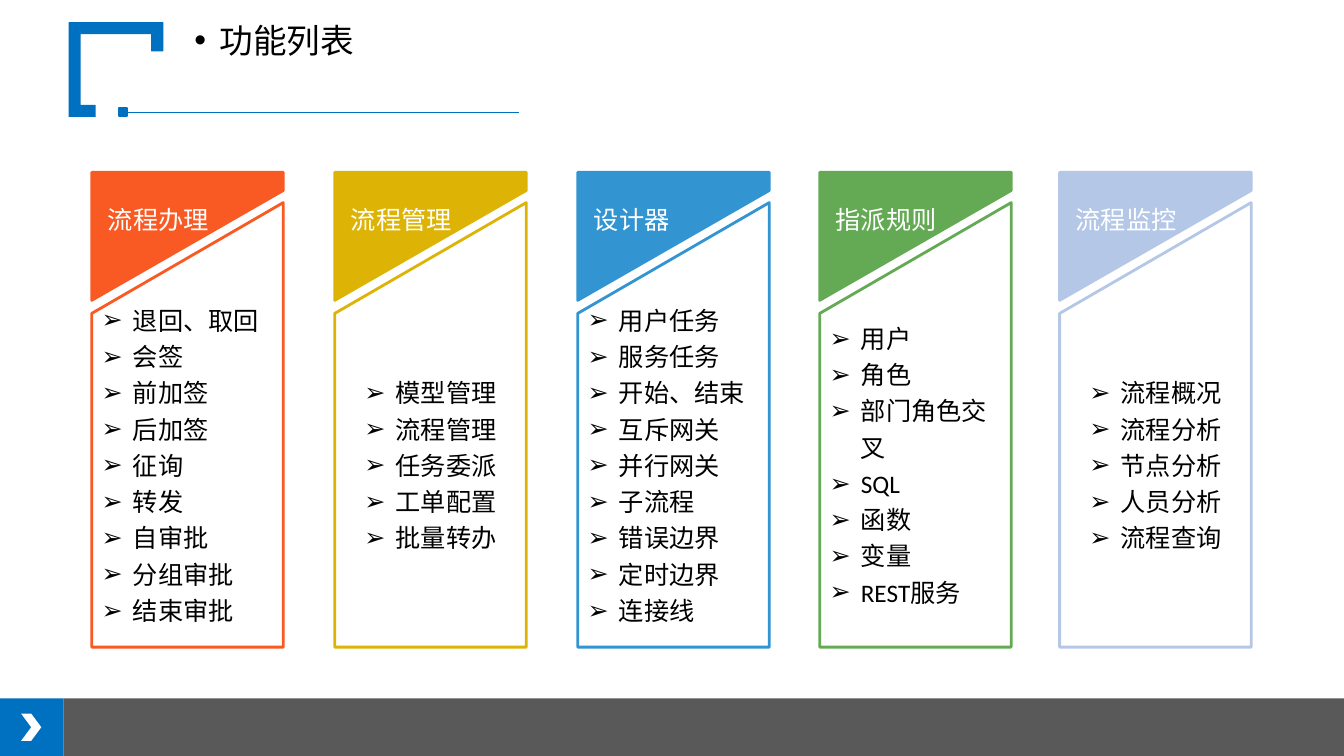
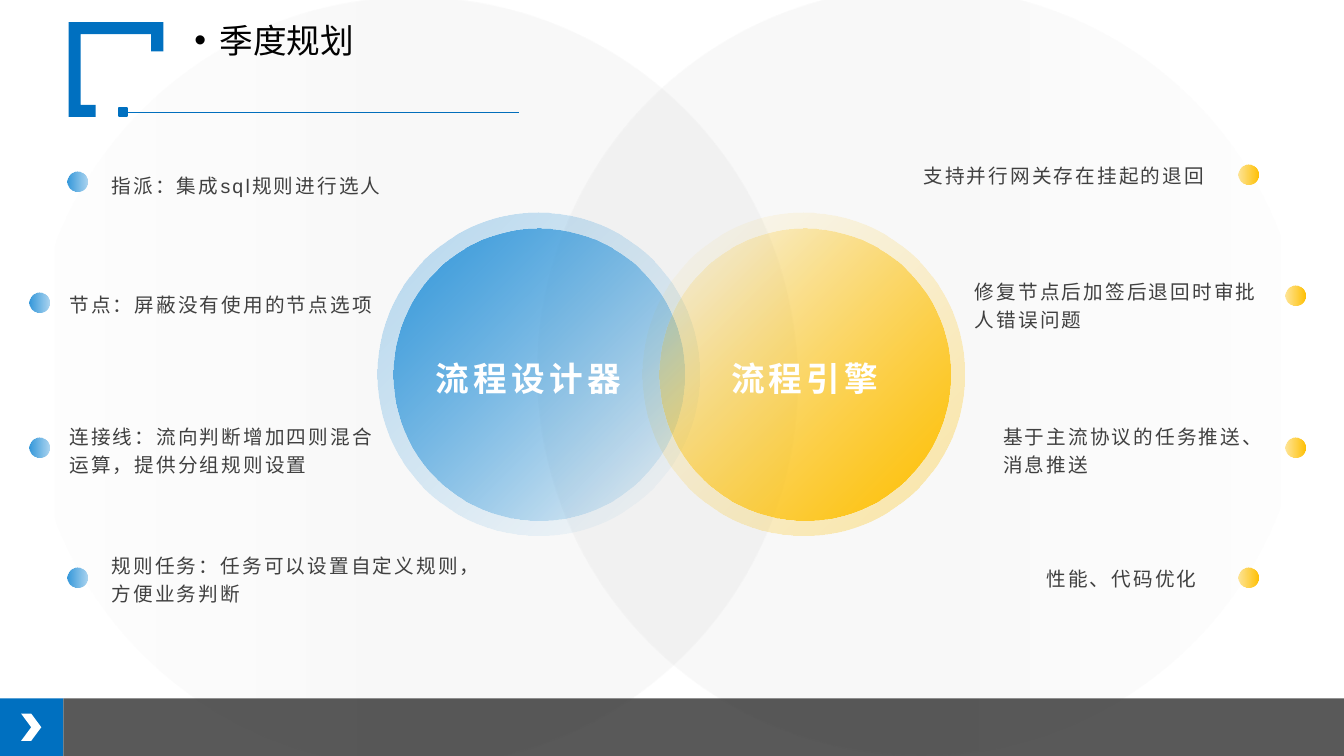
from dataclasses import dataclass
from typing import NamedTuple

from lxml.etree import SubElement
from pptx import Presentation
from pptx.dml.color import RGBColor
from pptx.enum.shapes import MSO_CONNECTOR, MSO_SHAPE
from pptx.enum.text import MSO_ANCHOR, PP_ALIGN
from pptx.oxml.ns import qn
from pptx.shapes.autoshape import Shape
from pptx.slide import Slide
from pptx.text.text import TextFrame
from pptx.util import Inches, Pt

RECT, OVAL, CHEVRON = MSO_SHAPE.RECTANGLE, MSO_SHAPE.OVAL, MSO_SHAPE.CHEVRON
LEFT, CENTER = PP_ALIGN.LEFT, PP_ALIGN.CENTER
TOP, MIDDLE = MSO_ANCHOR.TOP, MSO_ANCHOR.MIDDLE
STRAIGHT = MSO_CONNECTOR.STRAIGHT
RIGHT_SIDE = 3


@dataclass(frozen=True)
class Theme:
    accent: str = "0070C0"
    footer: str = "595959"
    white: str = "FFFFFF"
    black: str = "000000"
    ink: str = "404040"
    blue: str = "3498DB"
    gold: str = "FFC000"
    heading_size: int = 24
    list_size: int = 18
    note_size: int = 14
    list_font: str = "Calibri"
    note_font: str = "Arial"


THEME = Theme()


class Bullet(NamedTuple):
    char: str
    indent: float


class TextStyle(NamedTuple):
    font: str
    size: int
    color: str
    bold: bool = False
    tracking: float = 0
    align: PP_ALIGN = LEFT
    anchor: MSO_ANCHOR = TOP
    spacing: float = 1.0
    bullet: Bullet | None = None


class Stop(NamedTuple):
    position: float
    alpha: int


class Column(NamedTuple):
    left: float
    color: str
    title: str
    items: list[str]
    align: PP_ALIGN = LEFT


class Disc(NamedTuple):
    left: float
    top: float
    size: float
    color: str
    stops: tuple[Stop, Stop]
    angle: int


class Note(NamedTuple):
    dot: tuple[float, float]
    box: tuple[float, float, float, float]
    text: str
    spacing: float = 1.2


TITLE = TextStyle(THEME.list_font, THEME.heading_size, THEME.black, spacing=0.9,
                  bullet=Bullet("•", 0.25))
COLUMN_HEAD = TextStyle(THEME.list_font, THEME.list_size, THEME.white, anchor=MIDDLE)
COLUMN_LIST = TextStyle(THEME.list_font, THEME.list_size, THEME.black, anchor=MIDDLE,
                        spacing=1.2, bullet=Bullet("➢", 0.31))
DISC_LABEL = TextStyle(THEME.note_font, THEME.heading_size, THEME.white, bold=True,
                       tracking=3, align=CENTER, anchor=MIDDLE, spacing=1.2)
NOTE = TextStyle(THEME.note_font, THEME.note_size, THEME.ink, tracking=1.5)

BRACKET = [(0.68, 0.22), (1.62, 0.22), (1.62, 0.51), (1.5, 0.51), (1.5, 0.34),
           (0.8, 0.34), (0.8, 1.04), (0.95, 1.04), (0.95, 1.16), (0.68, 1.16)]
COLUMN_WIDTH = 1.9

COLUMNS = [
    Column(0.91, "F95A23", "流程办理",
           ["退回、取回", "会签", "前加签", "后加签", "征询", "转发", "自审批",
            "分组审批", "结束审批"]),
    Column(3.32, "DDB405", "流程管理",
           ["模型管理", "流程管理", "任务委派", "工单配置", "批量转办"], CENTER),
    Column(5.73, "3295D2", "设计器",
           ["用户任务", "服务任务", "开始、结束", "互斥网关", "并行网关", "子流程",
            "错误边界", "定时边界", "连接线"]),
    Column(8.13, "64AA54", "指派规则",
           ["用户", "角色", "部门角色交叉", "SQL", "函数", "变量", "REST服务"]),
    Column(10.51, "B4C7E7", "流程监控",
           ["流程概况", "流程分析", "节点分析", "人员分析", "流程查询"], CENTER),
]

VEIL = (Stop(0, 0), Stop(0.5, 3))
DISCS = [
    Disc(0.29, -0.02, 7.62, THEME.ink, VEIL, 0),
    Disc(5.33, -0.12, 7.62, THEME.ink, VEIL, 180),
    Disc(3.74, 2.11, 3.2, THEME.blue, (Stop(0, 35), Stop(1, 0)), 315),
    Disc(6.37, 2.11, 3.2, THEME.gold, (Stop(0, 0), Stop(1, 35)), 315),
    Disc(3.9, 2.27, 2.89, THEME.blue, (Stop(0, 100), Stop(1, 0)), 315),
    Disc(6.54, 2.27, 2.89, THEME.gold, (Stop(0, 0), Stop(1, 100)), 315),
]
DISC_LABELS = [("流程设计器", (4.17, 3.18, 2.14, 1.07)),
               ("流程引擎", (7.01, 3.18, 1.94, 1.07))]

DESIGNER_NOTES = [
    Note((0.67, 1.7), (1.01, 1.63, 3.38, 0.64), "指派：集成sql规则进行选人"),
    Note((0.29, 2.9), (0.59, 2.83, 3.46, 0.71), "节点：屏蔽没有使用的节点选项", 1.1),
    Note((0.29, 4.34), (0.59, 4.12, 3.24, 0.64),
         "连接线：流向判断增加四则混合运算，提供分组规则设置"),
    Note((0.67, 5.63), (1.01, 5.4, 3.87, 0.66),
         "规则任务：任务可以设置自定义规则，方便业务判断"),
]
ENGINE_NOTES = [
    Note((12.28, 1.63), (9.06, 1.53, 3.12, 0.4), "支持并行网关存在挂起的退回"),
    Note((12.75, 2.83), (9.57, 2.68, 3.06, 0.64), "修复节点后加签后退回时审批人错误问题"),
    Note((12.75, 4.34), (9.85, 4.12, 2.79, 0.64), "基于主流协议的任务推送、消息推送"),
    Note((12.28, 5.63), (10.28, 5.53, 2, 0.64), "性能、代码优化"),
]


def paint(sp: Shape, fill: str, line: str | None = None, width: float = 1) -> Shape:
    sp.shadow.inherit = False
    sp.fill.solid()
    sp.fill.fore_color.rgb = RGBColor.from_string(fill)
    if line:
        sp.line.color.rgb = RGBColor.from_string(line)
        sp.line.width = Pt(width)
    else:
        sp.line.fill.background()
    return sp


def add_outline(slide: Slide, points: list[tuple[float, float]]) -> Shape:
    first, *rest = [(Inches(x), Inches(y)) for x, y in points]
    builder = slide.shapes.build_freeform(*first)
    builder.add_line_segments(rest, close=True)
    return builder.convert_to_shape()


def add_preset(slide: Slide, kind: MSO_SHAPE, *box: float) -> Shape:
    return slide.shapes.add_shape(kind, *map(Inches, box))


def write(tf: TextFrame, lines: list[str], style: TextStyle,
          insets: tuple[float, float, float, float] = (0.1, 0.05, 0.1, 0.05)) -> None:
    sides = ("margin_left", "margin_top", "margin_right", "margin_bottom")
    frame = {"word_wrap": True, "vertical_anchor": style.anchor,
             **dict(zip(sides, map(Inches, insets)))}
    for name, value in frame.items():
        setattr(tf, name, value)
    for i, line in enumerate(lines):
        p = tf.add_paragraph() if i else tf.paragraphs[0]
        if style.bullet:
            pPr = p._p.get_or_add_pPr()
            indent = Inches(style.bullet.indent)
            pPr.set("marL", str(indent))
            pPr.set("indent", str(-indent))
            SubElement(pPr, qn("a:buFont")).set("typeface", "Arial")
            SubElement(pPr, qn("a:buChar")).set("char", style.bullet.char)
        p.alignment = style.align
        p.line_spacing = style.spacing
        r = p.add_run()
        r.text = line
        font = {"name": style.font, "size": Pt(style.size), "bold": style.bold}
        for name, value in font.items():
            setattr(r.font, name, value)
        r.font.color.rgb = RGBColor.from_string(style.color)
        if style.tracking:
            r._r.get_or_add_rPr().set("spc", str(int(style.tracking * 100)))


def add_text(slide: Slide, box: tuple[float, float, float, float], text: str,
             style: TextStyle) -> None:
    write(slide.shapes.add_textbox(*map(Inches, box)).text_frame, [text], style)


def add_disc(slide: Slide, disc: Disc) -> None:
    sp = add_preset(slide, OVAL, disc.left, disc.top, disc.size, disc.size)
    sp.shadow.inherit = False
    sp.line.fill.background()
    sp.fill.gradient()
    sp.fill.gradient_angle = disc.angle
    for target, stop in zip(sp.fill.gradient_stops, disc.stops):
        target.position = stop.position
        target.color.rgb = RGBColor.from_string(disc.color)
    colors = sp._element.spPr.iter(qn("a:srgbClr"))
    for color, stop in zip(list(colors), disc.stops):
        SubElement(color, qn("a:alpha")).set("val", str(stop.alpha * 1000))


def add_base(prs: Presentation, title: str) -> Slide:
    slide = prs.slides.add_slide(prs.slide_layouts[6])
    paint(add_preset(slide, RECT, 0, 6.93, 0.63, 0.57), THEME.accent)
    paint(add_preset(slide, RECT, 0.63, 6.93, 12.7, 0.57), THEME.footer)
    paint(add_preset(slide, CHEVRON, 0.21, 7.08, 0.2, 0.27), THEME.white)
    paint(add_outline(slide, BRACKET), THEME.accent)
    square = paint(add_preset(slide, RECT, 1.18, 1.07, 0.08, 0.08),
                   THEME.accent, THEME.accent)
    y = Inches(1.11)
    rule = slide.shapes.add_connector(STRAIGHT, Inches(1.26), y, Inches(5.15), y)
    rule.begin_connect(square, RIGHT_SIDE)
    rule.line.color.rgb = RGBColor.from_string(THEME.accent)
    rule.line.width = Pt(0.5)
    SubElement(rule._element.spPr, qn("a:effectLst"))
    add_text(slide, (1.83, 0.19, 8.79, 0.86), title, TITLE)
    return slide


def add_column(slide: Slide, column: Column) -> None:
    left, right = column.left, column.left + COLUMN_WIDTH
    head = add_outline(slide, [(left, 1.71), (right, 1.71), (right, 1.89), (left, 2.98)])
    paint(head, column.color, column.color, 2)
    write(head.text_frame, [column.title], COLUMN_HEAD, (0.16, 0.05, 0.1, 0.39))
    body = add_outline(slide, [(right, 2.01), (right, 6.42), (left, 6.42), (left, 3.11)])
    paint(body, THEME.white, column.color, 2)
    write(body.text_frame, column.items, COLUMN_LIST._replace(align=column.align),
          (0.1, 0.79, 0.1, 0.05))


def add_notes(slide: Slide, notes: list[Note], color: str, angle: int) -> None:
    for note in notes:
        add_disc(slide, Disc(*note.dot, 0.2, color, (Stop(0, 100), Stop(1, 40)), angle))
        add_text(slide, note.box, note.text, NOTE._replace(spacing=note.spacing))


def build_features(prs: Presentation) -> None:
    slide = add_base(prs, "功能列表")
    for column in COLUMNS:
        add_column(slide, column)


def build_plan(prs: Presentation) -> None:
    slide = add_base(prs, "季度规划")
    for disc in DISCS:
        add_disc(slide, disc)
    for label, box in DISC_LABELS:
        add_text(slide, box, label, DISC_LABEL)
    add_notes(slide, DESIGNER_NOTES, THEME.blue, 0)
    add_notes(slide, ENGINE_NOTES, THEME.gold, 180)


def main() -> None:
    prs = Presentation()
    prs.slide_width, prs.slide_height = Inches(13.33), Inches(7.5)
    build_features(prs)
    build_plan(prs)
    prs.save("out.pptx")


if __name__ == "__main__":
    main()
